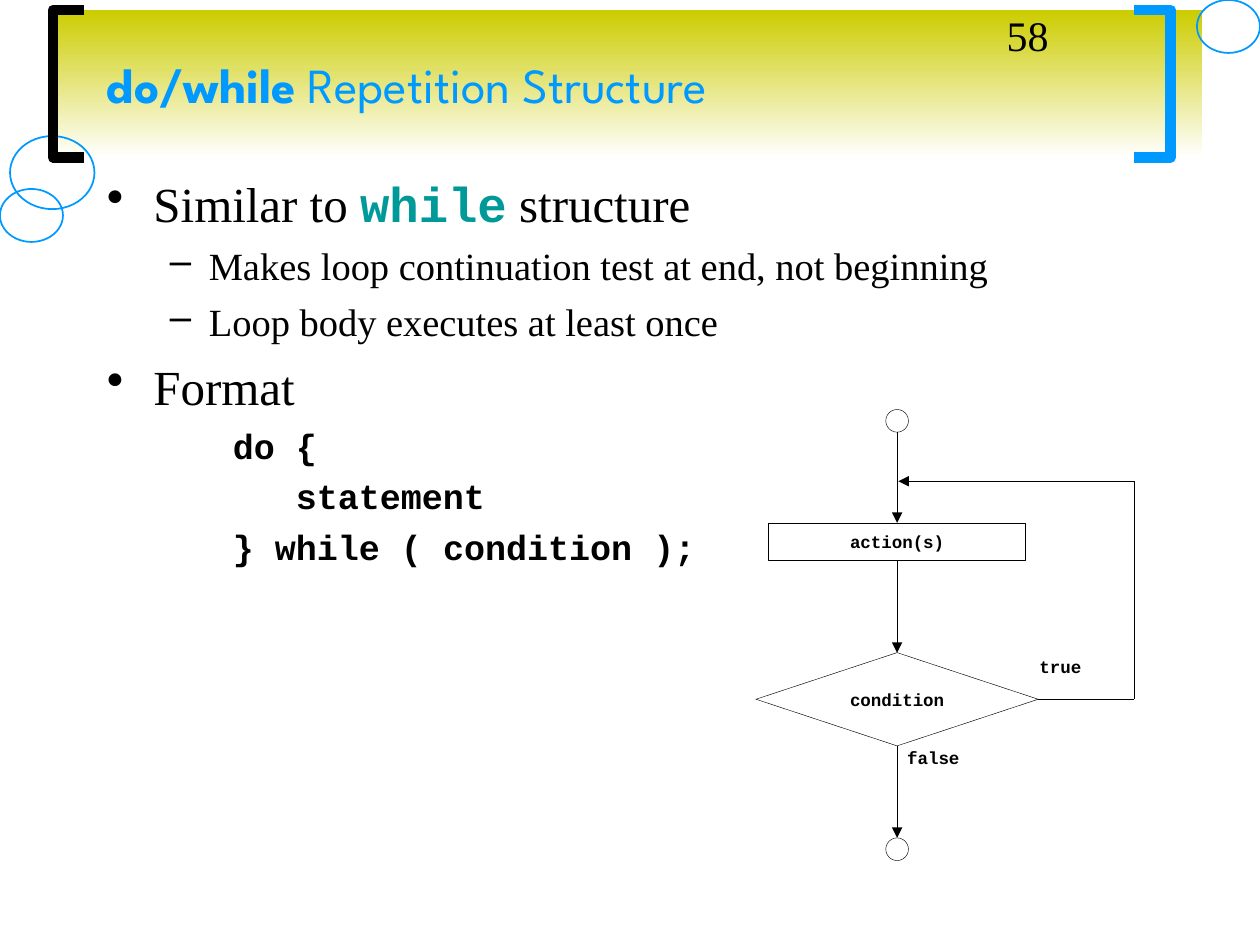
"""Build the slide on the do/while repetition structure."""
from dataclasses import dataclass
from typing import NamedTuple, Optional

from lxml import etree
from pptx import Presentation
from pptx.dml.color import RGBColor
from pptx.enum import shapes, text
from pptx.oxml import ns
from pptx.util import Inches, Pt


@dataclass(frozen=True)
class Theme:
    black: str = "000000"
    white: str = "FFFFFF"
    blue: str = "0099FF"
    teal: str = "009999"
    olive: str = "CCCC00"
    title_font: str = "League Spartan"
    body_font: str = "Times New Roman"
    code_font: str = "Courier New"
    heading: float = 28
    page: float = 24
    detail: float = 22
    code: float = 20
    label: float = 10
    bracket_line: float = 6
    ring_line: float = 1
    flow_line: float = 0.25


THEME = Theme()


class Box(NamedTuple):
    left: float
    top: float
    width: float
    height: float


class Run(NamedTuple):
    words: str
    font: str
    size: float
    color: str = THEME.black
    bold: bool = False


class Level(NamedTuple):
    margin: float
    hanging: float
    before: float
    bullet: Optional[str] = None


MAIN = Level(0.37, -0.37, 7, "•")
SUB = Level(0.81, -0.31, 5.5, "–")
CODE = Level(1, 0, 5)
CODE_BLOCK = Level(1.5, 0, 5)


def color(value: str) -> RGBColor:
    """Turn a hex value into a colour."""
    return RGBColor.from_string(value)


def lengths(values) -> list:
    """Turn numbers of inches into lengths."""
    return [Inches(value) for value in values]


def write(frame, paragraphs, *, inset=(0.1, 0.05), align=text.PP_ALIGN.LEFT,
          anchor=text.MSO_ANCHOR.TOP) -> None:
    """Fill a text frame with (level, runs) paragraphs."""
    frame.word_wrap = True
    frame.vertical_anchor = anchor
    frame.margin_left = frame.margin_right = Inches(inset[0])
    frame.margin_top = frame.margin_bottom = Inches(inset[1])
    for index, (level, runs) in enumerate(paragraphs):
        paragraph = frame.add_paragraph() if index else frame.paragraphs[0]
        paragraph.alignment = align
        if level:
            set_level(paragraph, level)
        for item in runs:
            run = paragraph.add_run()
            run.text = item.words
            run.font.name = item.font
            run.font.size = Pt(item.size)
            run.font.bold = item.bold
            run.font.color.rgb = color(item.color)


def set_level(paragraph, level: Level) -> None:
    """Give a paragraph its indent, spacing and bullet."""
    paragraph.space_before = Pt(level.before)
    properties = paragraph._p.get_or_add_pPr()
    properties.set("marL", str(Inches(level.margin)))
    properties.set("indent", str(Inches(level.hanging)))
    if level.bullet:
        tint = etree.SubElement(properties, ns.qn("a:buClr"))
        etree.SubElement(tint, ns.qn("a:srgbClr"), val=THEME.black)
        etree.SubElement(properties, ns.qn("a:buChar"), char=level.bullet)


def add_text(slide, box: Box, paragraphs, **layout) -> None:
    """Place a text box."""
    write(slide.shapes.add_textbox(*lengths(box)).text_frame, paragraphs, **layout)


def label(words: str) -> list:
    """Return the paragraph of a flowchart label."""
    return [(None, [Run(words, THEME.code_font, THEME.label, bold=True)])]


def outline(shape, tint: str, width: float) -> None:
    """Leave a shape unfilled, with a plain outline."""
    shape.shadow.inherit = False
    shape.fill.background()
    shape.line.color.rgb = color(tint)
    shape.line.width = Pt(width)


def add_outlined(slide, kind, box: Box, tint=THEME.black, width=THEME.flow_line, words=""):
    """Add an outlined preset shape with an optional centred label."""
    shape = slide.shapes.add_shape(kind, *lengths(box))
    outline(shape, tint, width)
    if words:
        write(shape.text_frame, label(words), inset=(0, 0),
              align=text.PP_ALIGN.CENTER, anchor=text.MSO_ANCHOR.MIDDLE)
    return shape


def add_bracket(slide, tips: float, spine: float, tint: str) -> None:
    """Draw a square bracket beside the title."""
    top, bottom = 0.08, 1.25
    builder = slide.shapes.build_freeform(*lengths((tips, top)), scale=1.0)
    corners = [(spine, top), (spine, bottom), (tips, bottom)]
    builder.add_line_segments([lengths(corner) for corner in corners], close=False)
    outline(builder.convert_to_shape(), tint, THEME.bracket_line)


def add_flow(slide, start, end, *, source=None, target=None, arrow=False) -> None:
    """Draw a flow line, joined to (shape, site) pairs where given."""
    flow = slide.shapes.add_connector(shapes.MSO_CONNECTOR.STRAIGHT, *lengths((*start, *end)))
    if source:
        flow.begin_connect(*source)
    if target:
        flow.end_connect(*target)
    flow.line.color.rgb = color(THEME.black)
    flow.line.width = Pt(THEME.flow_line)
    if arrow:
        etree.SubElement(flow.line._get_or_add_ln(), ns.qn("a:tailEnd"), type="triangle")
    etree.SubElement(flow._element.spPr, ns.qn("a:effectLst"))


def add_frame(slide) -> None:
    """Draw the title band, rings and brackets."""
    band = slide.shapes.add_shape(shapes.MSO_SHAPE.RECTANGLE, *lengths((0.42, 0.08, 9.12, 1.17)))
    band.shadow.inherit = False
    band.line.fill.background()
    band.fill.gradient()
    band.fill.gradient_angle = 270
    for stop, tint in zip(band.fill.gradient_stops, (THEME.olive, THEME.white)):
        stop.color.rgb = color(tint)
    for ring in (Box(0.08, 1.08, 0.67, 0.58), Box(0, 1.5, 0.5, 0.42), Box(9.5, 0, 0.5, 0.42)):
        add_outlined(slide, shapes.MSO_SHAPE.OVAL, ring, THEME.blue, THEME.ring_line)
    add_bracket(slide, 0.67, 0.42, THEME.black)
    add_bracket(slide, 9, 9.29, THEME.blue)


def add_flowchart(slide) -> None:
    """Draw the do/while flowchart."""
    axis, loop_x, loop_y, test_y = 7.12, 9, 3.82, 5.55
    _, stop = [add_outlined(slide, shapes.MSO_SHAPE.OVAL, Box(axis - 0.09, top, 0.18, 0.18))
               for top in (3.25, 6.65)]
    action = add_outlined(slide, shapes.MSO_SHAPE.RECTANGLE,
                          Box(axis - 1.02, 4.15, 2.04, 0.3), words="action(s)")
    condition = add_outlined(slide, shapes.MSO_SHAPE.DIAMOND,
                             Box(axis - 1.12, test_y - 0.37, 2.24, 0.74), words="condition")
    steps = [(3.43, 4.15, None, action), (4.45, 5.18, (action, 2), condition),
             (5.92, 6.65, (condition, 2), stop)]
    for top, bottom, source, target in steps:
        add_flow(slide, (axis, top), (axis, bottom),
                 source=source, target=(target, 0), arrow=True)
    add_flow(slide, (axis + 1.12, test_y), (loop_x, test_y), source=(condition, 3))
    add_flow(slide, (loop_x, test_y), (loop_x, loop_y))
    add_flow(slide, (loop_x, loop_y), (axis + 0.01, loop_y), arrow=True)
    add_text(slide, Box(8.25, 5.21, 0.66, 0.36), label("true"), inset=(0, 0))
    add_text(slide, Box(7.2, 5.93, 0.8, 0.36), label("false"), inset=(0, 0))


def main() -> None:
    """Build and save the slide."""
    deck = Presentation()
    deck.slide_width, deck.slide_height = lengths((10, 7.5))
    slide = deck.slides.add_slide(deck.slide_layouts[6])
    add_frame(slide)
    title = [Run("do/while", THEME.title_font, THEME.heading, THEME.blue, True),
             Run(" Repetition Structure", THEME.title_font, THEME.heading, THEME.blue)]
    add_text(slide, Box(0.75, 0.08, 8.5, 1.17), [(None, title)], anchor=text.MSO_ANCHOR.MIDDLE)
    body = [(MAIN, [Run("Similar to ", THEME.body_font, THEME.heading),
                    Run("while", THEME.code_font, THEME.heading, THEME.teal, True),
                    Run(" structure", THEME.body_font, THEME.heading)])]
    for detail in ("Makes loop continuation test at end, not beginning",
                   "Loop body executes at least once"):
        body.append((SUB, [Run(detail, THEME.body_font, THEME.detail)]))
    body.append((MAIN, [Run("Format", THEME.body_font, THEME.heading)]))
    for level, code in ((CODE, "do {"), (CODE_BLOCK, "statement"),
                        (CODE, "} while ( condition );")):
        body.append((level, [Run(code, THEME.code_font, THEME.code, bold=True)]))
    add_text(slide, Box(0.75, 1.33, 8.5, 5.75), body)
    add_flowchart(slide)
    add_text(slide, Box(7.89, 0.03, 2.08, 0.5), [(None, [Run("58", THEME.body_font, THEME.page)])])
    deck.save("out.pptx")


if __name__ == "__main__":
    main()
